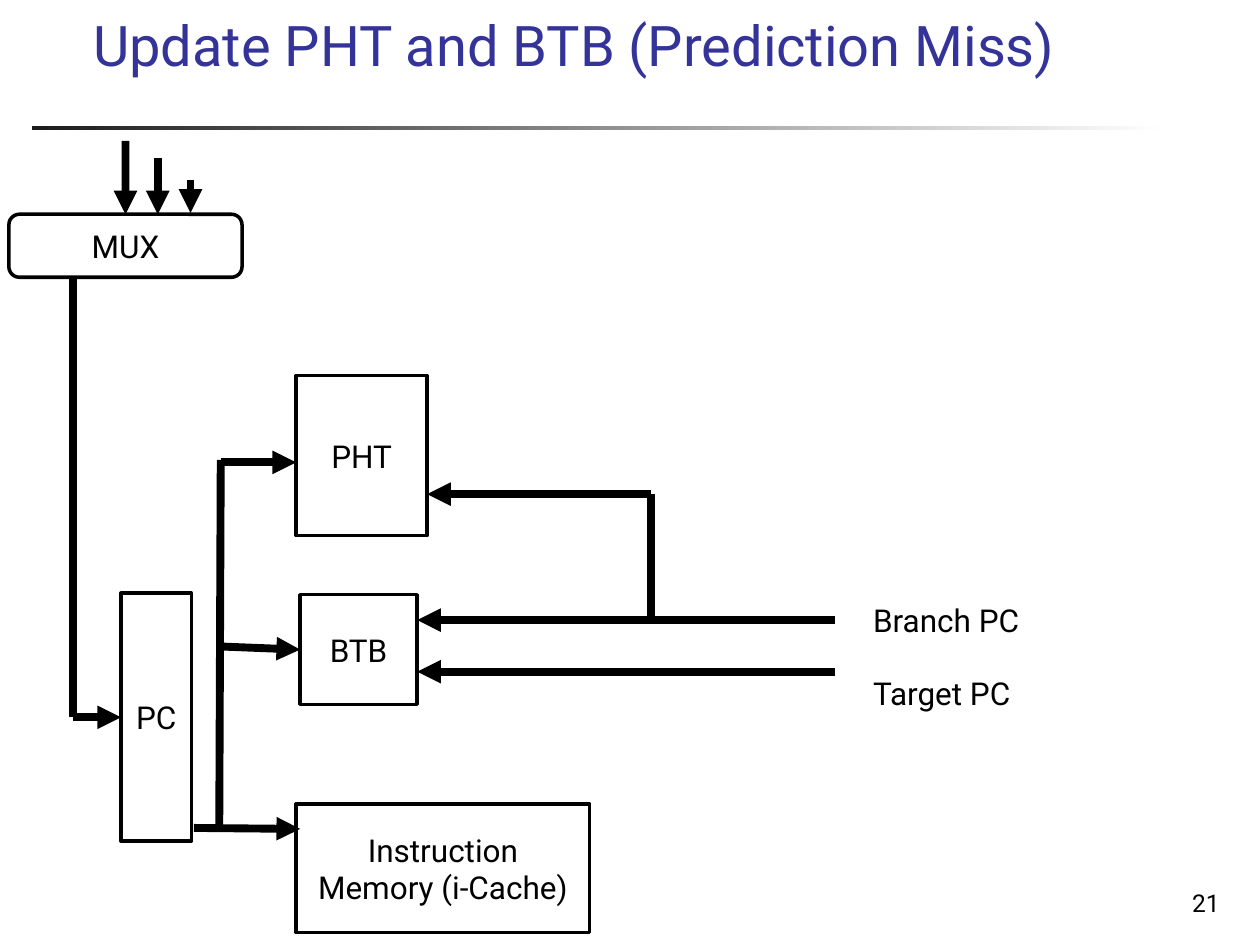
from dataclasses import dataclass
from typing import Optional

from lxml.etree import SubElement
from pptx import Presentation
from pptx.dml.color import RGBColor
from pptx.enum.shapes import MSO_CONNECTOR as Link, MSO_SHAPE as Kind
from pptx.enum.text import MSO_ANCHOR as Anchor, PP_ALIGN as Align
from pptx.oxml.ns import qn
from pptx.util import Cm, Pt

FONT = "Roboto"
BLACK = "000000"
WHITE = "FFFFFF"
TOP, LEFT = 0, 1


@dataclass
class Box:
    text: str
    x: float
    y: float
    w: float
    h: float
    kind: Kind = Kind.RECTANGLE


@dataclass
class Wire:
    x1: float
    y1: float
    x2: float
    y2: float
    head: bool = True
    goal: Optional[str] = None
    side: int = LEFT


BOXES = [
    Box("PC", 2.44, 11.96, 1.42, 5),
    Box("Instruction Memory (i-Cache)", 5.97, 16.21, 5.92, 2.59),
    Box("PHT", 5.97, 7.57, 2.64, 3.23),
    Box("MUX", 0.18, 4.32, 4.7, 1.27, Kind.ROUNDED_RECTANGLE),
    Box("BTB", 6.05, 11.99, 2.36, 2.21),
]

WIRES = [
    # Inputs of the MUX
    Wire(2.53, 2.84, 2.53, 4.32, goal="MUX", side=TOP),
    Wire(3.18, 3.18, 3.18, 4.32),
    Wire(3.84, 3.63, 3.84, 4.29),
    # MUX to PC
    Wire(1.47, 5.59, 1.47, 14.46, head=False),
    Wire(1.47, 14.46, 2.44, 14.46, goal="PC"),
    # PC to memory, PHT and BTB
    Wire(3.91, 16.69, 6.05, 16.71),
    Wire(4.42, 16.66, 4.45, 9.27, head=False),
    Wire(4.45, 9.32, 5.97, 9.32),
    Wire(4.39, 13.03, 6.05, 13.1, goal="BTB"),
    # Updates from the branch and its target
    Wire(16.84, 12.5, 8.41, 12.5),
    Wire(16.84, 13.54, 8.41, 13.54),
    Wire(13.13, 12.5, 13.13, 9.96, head=False),
    Wire(13.13, 9.96, 8.61, 9.96),
]


def paint(hue: str) -> RGBColor:
    return RGBColor.from_string(hue)


def write(frame, text: str, size: int = 18, hue: str = BLACK,
          align: Align = Align.LEFT, anchor: Anchor = Anchor.TOP,
          wrap: bool = True) -> None:
    frame.word_wrap = wrap
    frame.vertical_anchor = anchor
    part = frame.paragraphs[0]
    part.alignment = align
    run = part.add_run()
    run.text = text
    run.font.name = FONT
    run.font.size = Pt(size)
    run.font.color.rgb = paint(hue)


def label(slide, text: str, x: float, y: float, w: float, h: float,
          **form) -> None:
    area = slide.shapes.add_textbox(Cm(x), Cm(y), Cm(w), Cm(h))
    write(area.text_frame, text, **form)


def draw_rule(slide) -> None:
    """Draw the bar under the title, fading from dark to white."""
    bar = slide.shapes.add_shape(
        Kind.RECTANGLE, Cm(0.64), Cm(2.54), Cm(22.86), Cm(0.08))
    bar.shadow.inherit = False
    bar.line.fill.background()
    bar.fill.gradient()
    bar.fill.gradient_angle = 0
    for stop, hue, place in zip(bar.fill.gradient_stops,
                                ("1C1C1C", WHITE), (0, 1)):
        stop.color.rgb = paint(hue)
        stop.position = place


def draw_box(slide, box: Box):
    shape = slide.shapes.add_shape(
        box.kind, Cm(box.x), Cm(box.y), Cm(box.w), Cm(box.h))
    shape.shadow.inherit = False
    shape.fill.solid()
    shape.fill.fore_color.rgb = paint(WHITE)
    shape.line.color.rgb = paint(BLACK)
    shape.line.width = Pt(2)
    write(shape.text_frame, box.text, align=Align.CENTER, anchor=Anchor.MIDDLE)
    return shape


def draw_wire(slide, wire: Wire, nodes: dict) -> None:
    link = slide.shapes.add_connector(
        Link.STRAIGHT, Cm(wire.x1), Cm(wire.y1), Cm(wire.x2), Cm(wire.y2))
    if wire.goal:
        link.end_connect(nodes[wire.goal], wire.side)
    link.line.color.rgb = paint(BLACK)
    link.line.width = Pt(4.5)
    if wire.head:
        SubElement(link.line._get_or_add_ln(), qn("a:tailEnd"),
                   type="triangle")
    SubElement(link._element.spPr, qn("a:effectLst"))


def main() -> None:
    deck = Presentation()
    deck.slide_width, deck.slide_height = Cm(25.4), Cm(19.05)
    slide = deck.slides.add_slide(deck.slide_layouts[6])

    draw_rule(slide)
    label(slide, "Update PHT and BTB (Prediction Miss)", 1.63, 0.38, 22.5,
          1.32, size=32, hue="333399", anchor=Anchor.BOTTOM)
    nodes = {box.text: draw_box(slide, box) for box in BOXES}
    for wire in WIRES:
        draw_wire(slide, wire, nodes)
    label(slide, "Branch PC", 17.35, 11.99, 3.61, 1.02, wrap=False)
    label(slide, "Target PC", 17.35, 13.46, 3.35, 1.02, wrap=False)
    label(slide, "21", 19.56, 17.35, 5.28, 1.27, size=14,
          align=Align.RIGHT, anchor=Anchor.BOTTOM)

    deck.save("out.pptx")


if __name__ == "__main__":
    main()
